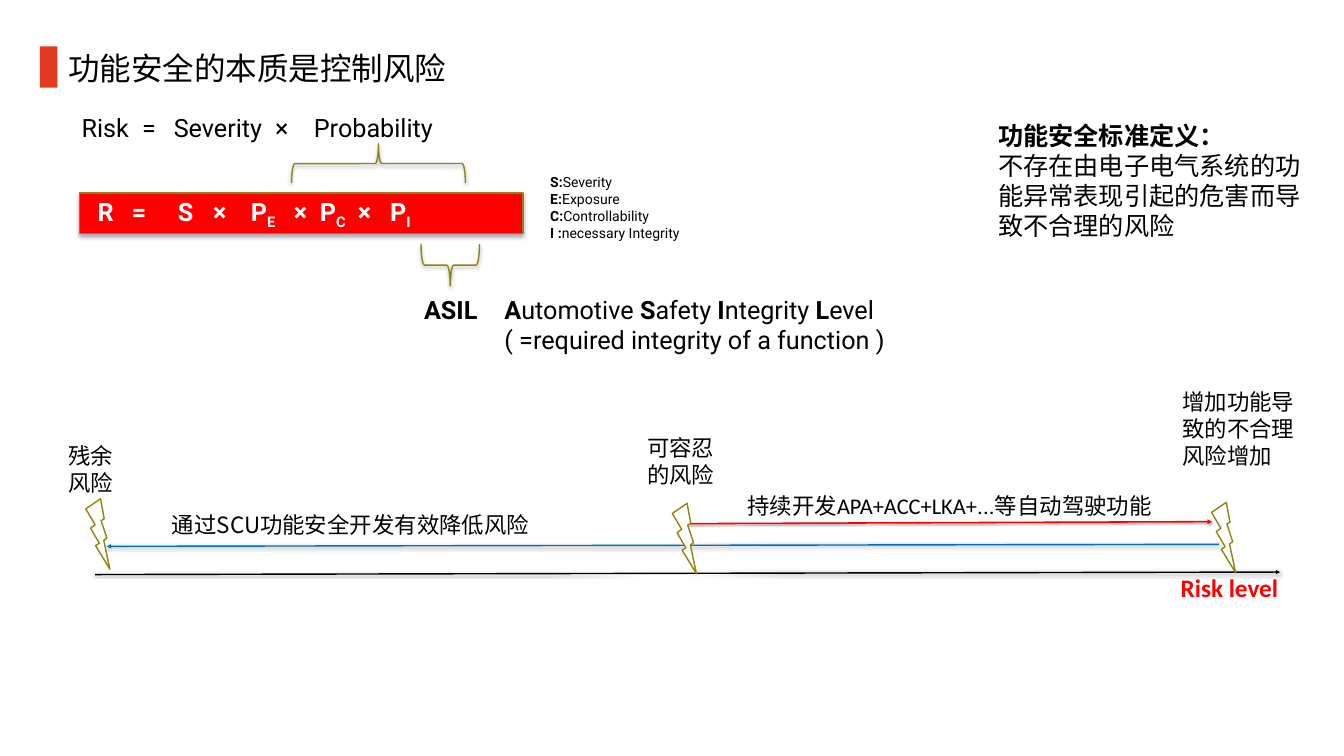
"""Build the slide on functional safety as the control of risk."""
from lxml.etree import SubElement
from pptx import Presentation
from pptx.dml.color import RGBColor
from pptx.enum.shapes import MSO_CONNECTOR, MSO_SHAPE
from pptx.enum.text import MSO_ANCHOR, MSO_AUTO_SIZE, PP_ALIGN
from pptx.oxml.ns import qn
from pptx.util import Inches, Pt

THEME = {
    "black": "000000", "white": "FFFFFF", "red": "FF0000", "accent": "E13A1E",
    "blue": "0070C0", "olive": "918415",
    "title": 45, "body": 36, "label": 32, "legend": 20,
    "latin": "Roboto", "plain": "Calibri", "cjk": "Noto Sans CJK SC",
}
SHAPE_SHADOW = (35, 6, 3)
LINE_SHADOW = (38, 3, 1.6)

TITLE = "功能安全的本质是控制风险"
RISK = "Risk\t=\tSeverity\t×\tProbability"
RISK_TABS = (1.2, 1.83, 3.84, 4.61)
FORMULA = [("R\t=\tS\t×\tP", "b"), ("E", "bs"), ("\t×\tP", "b"), ("C", "bs"),
           ("\t×\tP", "b"), ("I", "bs")]
FORMULA_TABS = (0.68, 1.59, 2.29, 3.04, 3.89, 4.41, 5.16, 5.8)
LEGEND = [("S:", "Severity"), ("E:", "Exposure"), ("C:", "Controllability"),
          ("I :", "necessary Integrity")]
ASIL_WORDS = [("A", "utomotive "), ("S", "afety "), ("I", "ntegrity "),
              ("L", "evel ( =required integrity of a function )")]
DEFINITION = [[("功能安全标准定义：", "b")],
              [("不存在由电子电气系统的功能异常表现引起的危害而导致不合理的风险", "")]]
AXIS_LABELS = [
    ("残余风险", (1.31, 8.73, 1.28, 1.18)),
    ("可容忍的风险", (12.79, 8.56, 1.75, 1.18)),
    ("增加功能导致的不合理风险增加", (23.41, 7.65, 2.38, 1.71)),
]
ARROWS = [
    ((1.89, 11.4), (25.4, 11.35), "black", 2),
    ((13.66, 10.39), (24.05, 10.35), "red", 2.25),
    ((24.19, 10.8), (2.12, 10.84), "blue", 2),
]
BOLTS = [(1.63, 9.9), (13.27, 9.99), (23.97, 9.97)]
BRACES = [((7.12, 1.52, 0.78, 3.45), 90), ((8.52, 4.68, 0.83, 1.16), 270)]


def color(name):
    return RGBColor.from_string(THEME[name])


def set_effects(item, shadow=None):
    effects = SubElement(item._element.spPr, qn("a:effectLst"))
    if shadow:
        alpha, blur, distance = shadow
        outer = SubElement(effects, qn("a:outerShdw"), blurRad=str(Pt(blur)),
                           dist=str(Pt(distance)), dir="5400000", rotWithShape="0")
        tint = SubElement(outer, qn("a:srgbClr"), val=THEME["black"])
        SubElement(tint, qn("a:alpha"), val=str(alpha * 1000))


def add_span(para, text, marks, size, ink, font):
    span = para.add_run()
    span.text = text
    span.font.size = Pt(THEME[size])
    span.font.bold = "b" in marks
    span.font.color.rgb = color(ink)
    span.font.name = THEME[font]
    properties = span.font._element
    SubElement(properties, qn("a:ea"), typeface=THEME["cjk"])
    if "s" in marks:
        properties.set("baseline", "-25000")


def write(box, text, size="label", ink="black", font="plain", marks="", inset=0.05,
          left_inset=None, align=PP_ALIGN.LEFT, anchor=MSO_ANCHOR.TOP, tabs=()):
    """Fill a box; text is a string or a list of paragraphs of (text, marks[, font])."""
    frame = box.text_frame
    frame.word_wrap = True
    frame.auto_size = MSO_AUTO_SIZE.SHAPE_TO_FIT_TEXT
    frame.vertical_anchor = anchor
    frame.margin_top = frame.margin_bottom = frame.margin_right = Inches(inset)
    frame.margin_left = Inches(left_inset or inset)
    paragraphs = [[(text, marks)]] if isinstance(text, str) else text
    for index, spans in enumerate(paragraphs):
        para = frame.add_paragraph() if index else frame.paragraphs[0]
        para.alignment = align
        if tabs:
            stops = SubElement(para._p.get_or_add_pPr(), qn("a:tabLst"))
            for stop in tabs:
                SubElement(stops, qn("a:tab"), pos=str(Inches(stop)), algn="l")
        for words, style, *own_font in spans:
            add_span(para, words, style, size, ink, own_font[0] if own_font else font)


def add_text(page, place, text, **style):
    box = page.shapes.add_textbox(*map(Inches, place))
    write(box, text, **style)


def add_figure(page, preset, place, fill=None, line=None, rotation=0, shadow=None):
    figure = page.shapes.add_shape(preset, *map(Inches, place))
    figure.rotation = rotation
    if fill:
        figure.fill.solid()
        figure.fill.fore_color.rgb = color(fill)
    else:
        figure.fill.background()
    if line:
        figure.line.color.rgb = color(line)
        figure.line.width = Pt(2)
    else:
        figure.line.fill.background()
    set_effects(figure, shadow)
    return figure


def add_arrow(page, start, end, ink, width):
    arrow = page.shapes.add_connector(MSO_CONNECTOR.STRAIGHT, *map(Inches, start + end))
    arrow.line.color.rgb = color(ink)
    arrow.line.width = Pt(width)
    SubElement(arrow.line._get_or_add_ln(), qn("a:tailEnd"), type="triangle")
    set_effects(arrow, LINE_SHADOW)


def add_heading(page):
    add_figure(page, MSO_SHAPE.RECTANGLE, (0.79, 0.92, 0.35, 0.82), fill="accent")
    title = page.shapes.title
    title.left, title.top, title.width, title.height = map(Inches, (1.3, 0.92, 10.87, 0.86))
    write(title, TITLE, size="title", font="cjk")


def add_formula(page):
    body = {"size": "body", "font": "latin", "inset": 0.1}
    add_text(page, (1.52, 2.13, 9.38, 0.8), RISK, tabs=RISK_TABS, **body)
    bar = add_figure(page, MSO_SHAPE.RECTANGLE, (1.58, 3.83, 8.8, 0.8), fill="red",
                     line="olive", shadow=SHAPE_SHADOW)
    write(bar, [FORMULA], ink="white", left_inset=0.36, anchor=MSO_ANCHOR.MIDDLE,
          tabs=FORMULA_TABS, **body)
    for place, rotation in BRACES:
        add_figure(page, MSO_SHAPE.LEFT_BRACE, place, line="olive", rotation=rotation,
                   shadow=SHAPE_SHADOW)
    add_text(page, (8.11, 5.74, 1.67, 0.8), "ASIL", marks="b", align=PP_ALIGN.CENTER, **body)
    words = [span for initial, rest in ASIL_WORDS for span in ((initial, "b"), (rest, ""))]
    add_text(page, (9.91, 5.73, 8.75, 1.41), [words], **body)
    legend = [[(key, "b"), (meaning, "")] for key, meaning in LEGEND]
    add_text(page, (10.82, 3.35, 4.05, 1.54), legend, size="legend", font="latin", inset=0.1)
    add_text(page, (19.71, 2.28, 6.49, 2.62), DEFINITION, **body)


def add_risk_axis(page):
    for arrow in ARROWS:
        add_arrow(page, *arrow)
    for left, top in BOLTS:
        add_figure(page, MSO_SHAPE.LIGHTNING_BOLT, (left, top, 0.66, 1.35), fill="white",
                   line="olive", rotation=9)
    for text, place in AXIS_LABELS:
        add_text(page, place, text)
    add_text(page, (14.78, 9.71, 8.63, 0.64),
             [[("持续开发APA+ACC+LKA+", ""), ("...等自动驾驶功能", "", "latin")]])
    add_text(page, (3.36, 10.09, 7.72, 0.64),
             [[("通过", ""), ("SCU功能安全开发有效降低风险", "", "cjk")]])
    add_text(page, (23.38, 11.3, 2.23, 0.7), "Risk level", size="body", ink="red", marks="b")


def main():
    deck = Presentation()
    deck.slide_width, deck.slide_height = Inches(26.67), Inches(15)
    page = deck.slides.add_slide(deck.slide_layouts[5])
    add_heading(page)
    add_risk_axis(page)
    add_formula(page)
    deck.save("out.pptx")


if __name__ == "__main__":
    main()
